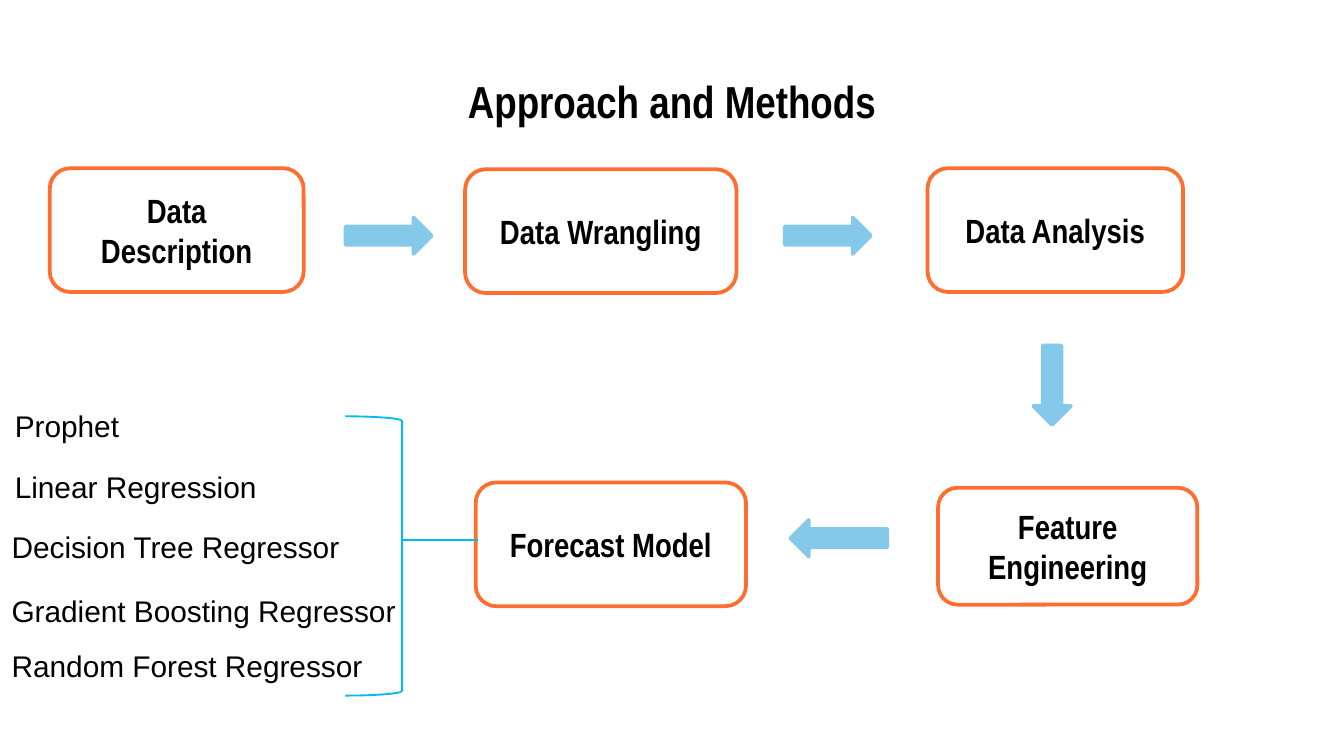
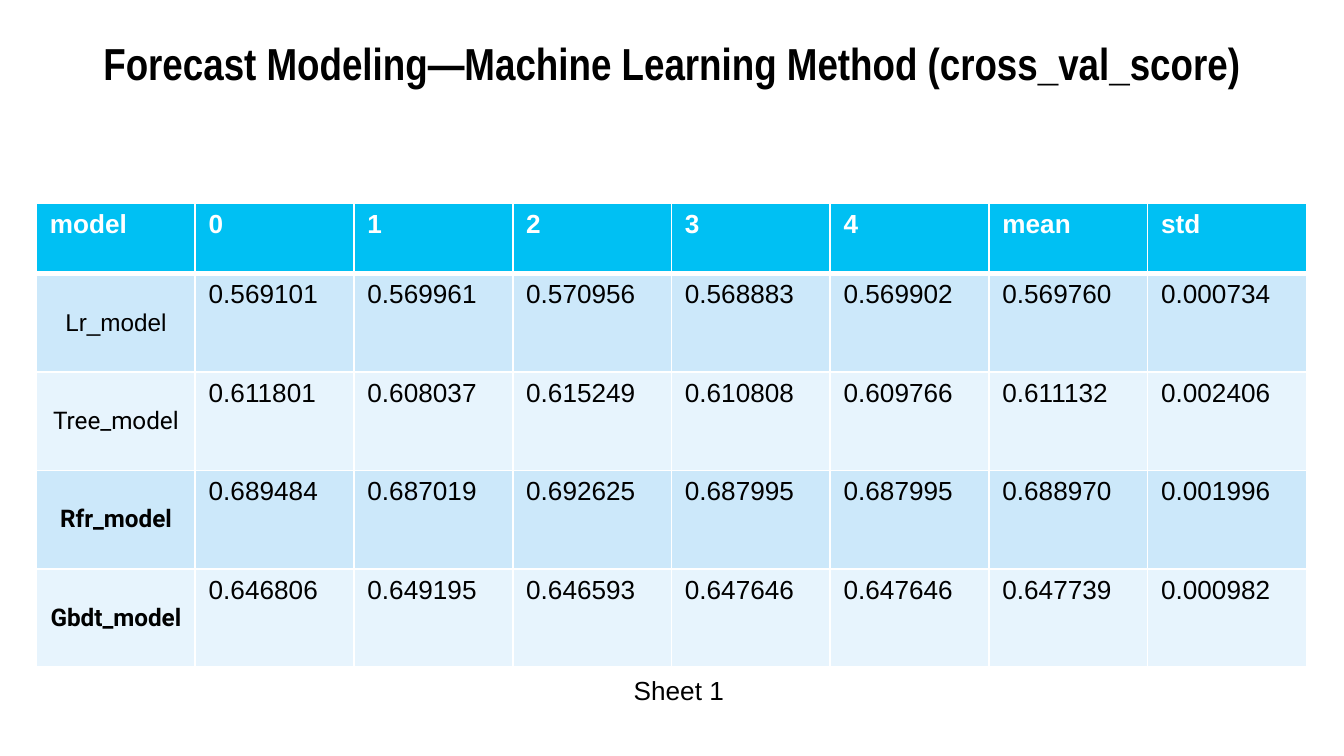
from dataclasses import dataclass

from lxml import etree
from pptx import Presentation
from pptx.dml.color import RGBColor
from pptx.enum.shapes import MSO_CONNECTOR, MSO_SHAPE
from pptx.enum.text import MSO_ANCHOR, PP_ALIGN
from pptx.oxml.ns import qn
from pptx.util import Cm, Pt

LEFT, CENTER = PP_ALIGN.LEFT, PP_ALIGN.CENTER
TOP, MIDDLE = MSO_ANCHOR.TOP, MSO_ANCHOR.MIDDLE
ROUNDED = MSO_SHAPE.ROUNDED_RECTANGLE
RIGHT_ARROW, LEFT_ARROW = MSO_SHAPE.RIGHT_ARROW, MSO_SHAPE.LEFT_ARROW
DOWN_ARROW, BRACKET = MSO_SHAPE.DOWN_ARROW, MSO_SHAPE.RIGHT_BRACKET
STRAIGHT = MSO_CONNECTOR.STRAIGHT


@dataclass(frozen=True)
class Theme:
    black: str = "000000"
    white: str = "FFFFFF"
    step_line: str = "FF6D2F"
    arrow: str = "84C8EA"
    bracket: str = "00BCEE"
    header: str = "00C0F3"
    bands: tuple = ("CCE8FA", "E7F4FD")
    body_font: str = "Arial"
    heading_font: str = "Arial Narrow"
    model_font: str = "Roboto"
    title_size: int = 24
    step_size: int = 18
    list_size: int = 16
    table_size: int = 14
    model_size: int = 13


THEME = Theme()

STEPS = [
    ("Data Description", 0.94, 3.18, 4.8, 2.34),
    ("Data Wrangling", 8.79, 3.2, 5.13, 2.34),
    ("Data Analysis", 17.53, 3.18, 4.83, 2.34),
    ("Feature Engineering", 17.73, 9.22, 4.9, 2.21),
    ("Forecast Model", 8.99, 9.12, 5.11, 2.34),
]
ARROWS = [
    (RIGHT_ARROW, 6.53, 4.11, 1.63, 0.69),
    (RIGHT_ARROW, 14.83, 4.11, 1.63, 0.69),
    (DOWN_ARROW, 19.53, 6.53, 0.71, 1.5),
    (LEFT_ARROW, 14.94, 9.83, 1.83, 0.69),
]
MODELS = [
    ("Prophet", 0.03, 7.59, 4.37),
    ("Linear Regression", 0.03, 8.74, 5.31),
    ("Decision Tree Regressor", -0.03, 9.86, 6.83),
    ("Gradient Boosting Regressor", -0.03, 11.07, 8.56),
    ("Random Forest Regressor", -0.03, 12.12, 7.34),
]

SCORE_HEADER = ["model", "0", "1", "2", "3", "4", "mean", "std"]
# Model name, its font, whether it is bold, and its scores
SCORES = [
    ("Lr_model", THEME.body_font, False,
     "0.569101 0.569961 0.570956 0.568883 0.569902 0.569760 0.000734"),
    ("Tree_model", THEME.model_font, False,
     "0.611801 0.608037 0.615249 0.610808 0.609766 0.611132 0.002406"),
    ("Rfr_model", THEME.model_font, True,
     "0.689484 0.687019 0.692625 0.687995 0.687995 0.688970 0.001996"),
    ("Gbdt_model", THEME.model_font, True,
     "0.646806 0.649195 0.646593 0.647646 0.647646 0.647739 0.000982"),
]
COLUMN_WIDTH, HEADER_HEIGHT, SCORE_HEIGHT = 3.0, 1.33, 1.86


def color(code):
    return RGBColor.from_string(code)


def lengths(*values):
    return [Cm(value) for value in values]


def write(frame, text, size, font=THEME.body_font, bold=False,
          ink=THEME.black, align=LEFT):
    paragraph = frame.paragraphs[0]
    paragraph.alignment = align
    run = paragraph.add_run()
    run.text = text
    run.font.size = Pt(size)
    run.font.name = font
    run.font.bold = bold
    run.font.color.rgb = color(ink)


def add_text(slide, text, box, size, **style):
    frame = slide.shapes.add_textbox(*lengths(*box)).text_frame
    frame.word_wrap = True
    write(frame, text, size, **style)
    return frame


def add_title(slide, text, box):
    frame = add_text(slide, text, box, THEME.title_size,
                     font=THEME.heading_font, bold=True, align=CENTER)
    frame.margin_top = frame.margin_bottom = Cm(0.25)


def add_outline(slide, kind, box, line, width, fill=None):
    """Add a preset shape without shadow, filled only if a fill is given."""
    shape = slide.shapes.add_shape(kind, *lengths(*box))
    shape.shadow.inherit = False
    if fill:
        shape.fill.solid()
        shape.fill.fore_color.rgb = color(fill)
    else:
        shape.fill.background()
    shape.line.color.rgb = color(line)
    shape.line.width = Pt(width)
    return shape


def add_step(slide, text, *box):
    shape = add_outline(slide, ROUNDED, box, THEME.step_line, 2, THEME.white)
    frame = shape.text_frame
    frame.word_wrap = True
    frame.vertical_anchor = MIDDLE
    write(frame, text, THEME.step_size, font=THEME.heading_font,
          bold=True, align=CENTER)


def add_line(slide, *ends):
    line = slide.shapes.add_connector(STRAIGHT, *lengths(*ends))
    line.line.color.rgb = color(THEME.bracket)
    line.line.width = Pt(1)
    etree.SubElement(line._element.spPr, qn("a:effectLst"))


def set_borders(cell, top, bottom):
    """Give the cell white borders; top and bottom are widths in points."""
    properties = cell._tc.get_or_add_tcPr()
    for side, width in (("L", 1), ("R", 1), ("T", top), ("B", bottom)):
        border = etree.SubElement(properties, qn(f"a:ln{side}"),
                                  w=str(Pt(width)))
        fill = etree.SubElement(border, qn("a:solidFill"))
        etree.SubElement(fill, qn("a:srgbClr"), val=THEME.white)


def fill_cell(cell, text, background, top=1, bottom=1,
              size=THEME.table_size, **style):
    set_borders(cell, top, bottom)
    cell.fill.solid()
    cell.fill.fore_color.rgb = color(background)
    write(cell.text_frame, text, size, **style)


def add_score_table(slide, left, top):
    rows, columns = len(SCORES) + 1, len(SCORE_HEADER)
    table = slide.shapes.add_table(rows, columns, *lengths(
        left, top, columns * COLUMN_WIDTH,
        HEADER_HEIGHT + len(SCORES) * SCORE_HEIGHT)).table
    for column in table.columns:
        column.width = Cm(COLUMN_WIDTH)
    for index, row in enumerate(table.rows):
        row.height = Cm(SCORE_HEIGHT if index else HEADER_HEIGHT)

    for column, text in enumerate(SCORE_HEADER):
        fill_cell(table.cell(0, column), text, THEME.header, bottom=3,
                  bold=True, ink=THEME.white)
    for index, (model, font, bold, scores) in enumerate(SCORES):
        band = THEME.bands[index % 2]
        top_width = 1 if index else 3
        model_cell = table.cell(index + 1, 0)
        model_cell.vertical_anchor = MIDDLE
        model_cell.margin_top = model_cell.margin_bottom = Cm(0.25)
        fill_cell(model_cell, model, band, top_width, size=THEME.model_size,
                  font=font, bold=bold, align=CENTER)
        for column, score in enumerate(scores.split(), start=1):
            cell = table.cell(index + 1, column)
            cell.vertical_anchor = TOP
            fill_cell(cell, score, band, top_width)


def build_approach(slide):
    add_title(slide, "Approach and Methods", (1.27, 1.14, 22.86, 1.6))
    for step in STEPS:
        add_step(slide, *step)
    for kind, *box in ARROWS:
        add_outline(slide, kind, box, THEME.arrow, 2, THEME.arrow)
    add_outline(slide, BRACKET, (6.53, 7.87, 1.07, 5.28), THEME.bracket, 1)
    add_line(slide, 7.6, 10.21, 9.04, 10.21)
    for model, left, top, width in MODELS:
        add_text(slide, model, (left, top, width, 0.94), THEME.list_size)


def build_scores(slide):
    add_title(slide,
              "Forecast Modeling—Machine Learning Method (cross_val_score)",
              (0.15, 0.43, 25.1, 1.6))
    add_score_table(slide, 0.69, 3.84)
    add_text(slide, "Sheet 1", (6.48, 12.62, 12.7, 0.86),
             THEME.table_size, align=CENTER)


def main():
    presentation = Presentation()
    presentation.slide_width, presentation.slide_height = lengths(25.4, 14.29)
    blank = presentation.slide_layouts[6]
    for build in (build_approach, build_scores):
        build(presentation.slides.add_slide(blank))
    presentation.save("out.pptx")


if __name__ == "__main__":
    main()
